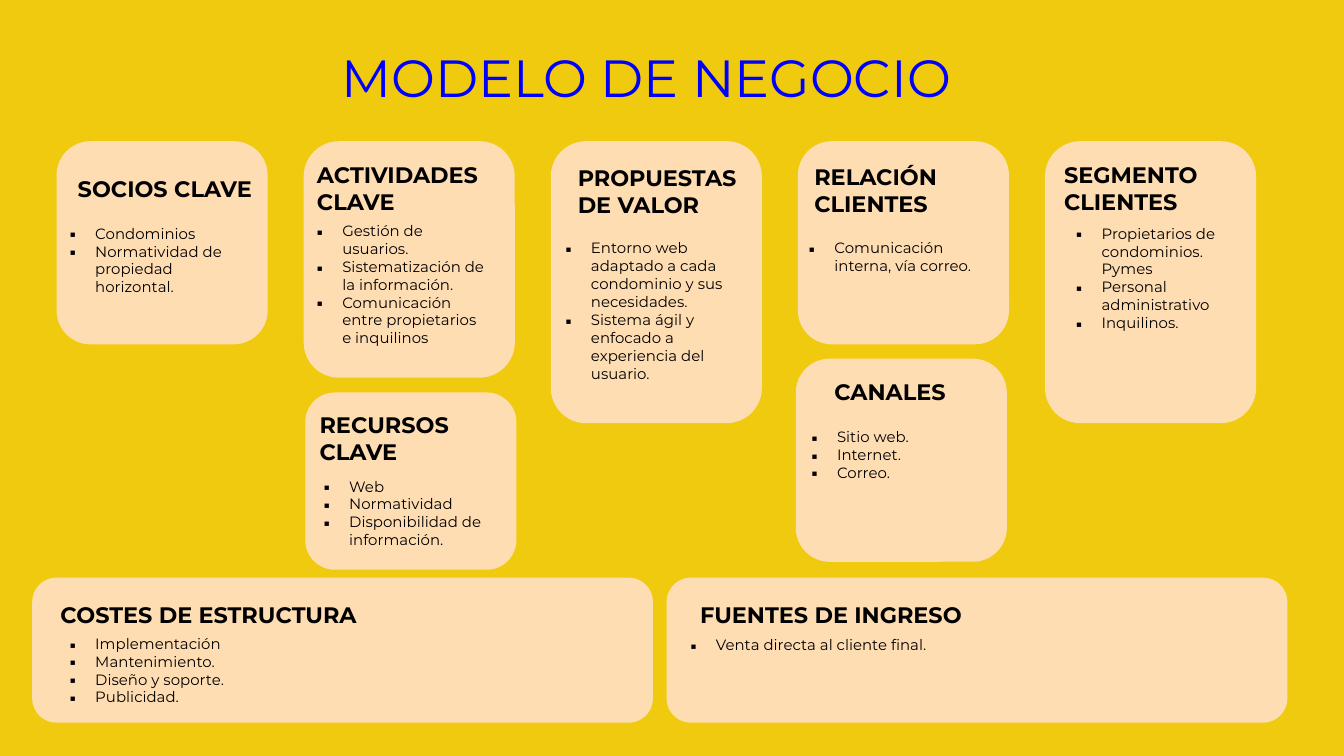
"""Build a one-slide business model canvas in Spanish."""
from collections import namedtuple
from dataclasses import dataclass

from lxml.etree import SubElement
from pptx import Presentation
from pptx.dml.color import RGBColor
from pptx.enum.shapes import MSO_SHAPE
from pptx.enum.text import MSO_ANCHOR, MSO_AUTO_SIZE, PP_ALIGN
from pptx.oxml.ns import qn
from pptx.util import Cm, Pt


@dataclass(frozen=True)
class Theme:
    background: RGBColor = RGBColor.from_string("F0CA0F")
    card: RGBColor = RGBColor.from_string("FFDDB3")
    title: RGBColor = RGBColor.from_string("0000FF")
    ink: RGBColor = RGBColor.from_string("000000")
    font: str = "Montserrat"
    title_size: Pt = Pt(28)
    heading_size: Pt = Pt(12)
    list_size: Pt = Pt(8)


theme = Theme()
Block = namedtuple("Block", "card heading heading_at heading_lines items list_at list_lines")

TITLE_STYLE = {"name": theme.font, "size": theme.title_size, "bold": False}
HEADING_STYLE = {"name": theme.font, "size": theme.heading_size, "bold": True}
LIST_STYLE = {"name": theme.font, "size": theme.list_size, "bold": False}
FRAME_FORMAT = {
    "word_wrap": True,
    "auto_size": MSO_AUTO_SIZE.SHAPE_TO_FIT_TEXT,
    "vertical_anchor": MSO_ANCHOR.TOP,
    "margin_left": Cm(0.25), "margin_right": Cm(0.25),
    "margin_top": Cm(0.13), "margin_bottom": Cm(0.13),
}
TITLE_FRAME = FRAME_FORMAT | {
    "auto_size": MSO_AUTO_SIZE.NONE, "margin_top": Cm(0.25), "margin_bottom": Cm(0.25),
}

COLUMN_LEFT, COLUMN_STEP, COLUMN_TOP, COLUMN_WIDTH = 1.07, 4.67, 2.67, 3.99
columns = [COLUMN_LEFT + COLUMN_STEP * index for index in range(5)]
FOOTER_TOP, FOOTER_WIDTH, FOOTER_HEIGHT = 10.92, 11.73, 2.74

blocks = [
    Block((columns[0], COLUMN_TOP, COLUMN_WIDTH, 3.84),
          "SOCIOS CLAVE", (1.22, 3.18, 3.86), 1,
          ["Condominios", "Normatividad de propiedad horizontal."], (1.07, 4.11, 3.53), 4),
    Block((columns[1], COLUMN_TOP, COLUMN_WIDTH, 4.47),
          "ACTIVIDADES CLAVE", (5.74, 2.92, 3.96), 2,
          ["Gestión de usuarios.", "Sistematización de la información.",
           "Comunicación entre propietarios e inquilinos"], (5.74, 4.06, 3.76), 7),
    Block((columns[2], COLUMN_TOP, COLUMN_WIDTH, 5.33),
          "PROPUESTAS DE VALOR", (10.67, 2.97, 3.89), 2,
          ["Entorno web adaptado a cada condominio y sus necesidades.",
           "Sistema ágil y enfocado a experiencia del usuario."], (10.44, 4.39, 3.99), 8),
    Block((columns[3], COLUMN_TOP, COLUMN_WIDTH, 3.84),
          "RELACIÓN CLIENTES", (15.14, 2.95, 3.94), 2,
          ["Comunicación interna, vía correo."], (15.04, 4.39, 3.99), 2),
    Block((columns[4], COLUMN_TOP, COLUMN_WIDTH, 5.33),
          "SEGMENTO CLIENTES", (19.86, 2.92, 3.99), 2,
          ["Propietarios de condominios. Pymes", "Personal administrativo", "Inquilinos."],
          (20.09, 4.11, 3.53), 6),
    Block((5.77, 7.42, COLUMN_WIDTH, 3.35),
          "RECURSOS CLAVE", (5.79, 7.65, 3.96), 2,
          ["Web", "Normatividad", "Disponibilidad de información."], (5.87, 8.89, 3.63), 4),
    Block((15.04, 6.78, COLUMN_WIDTH, 3.84),
          "CANALES", (15.52, 7.01, 3.94), 1,
          ["Sitio web.", "Internet.", "Correo."], (15.09, 7.95, 3.99), 3),
    Block((0.61, FOOTER_TOP, FOOTER_WIDTH, FOOTER_HEIGHT),
          "COSTES DE ESTRUCTURA", (0.89, 11.23, 7.06), 1,
          ["Implementación", "Mantenimiento.", "Diseño y soporte.", "Publicidad."],
          (1.07, 11.86, 9.96), 4),
    Block((12.6, FOOTER_TOP, FOOTER_WIDTH, FOOTER_HEIGHT),
          "FUENTES DE INGRESO", (12.98, 11.23, 6.88), 1,
          ["Venta directa al cliente final."], (12.8, 11.89, 9.96), 1),
]


def write_text(box, position, lines, style, color, frame_format, align=PP_ALIGN.LEFT):
    """Place a text object and fill it with formatted paragraphs."""
    for name, value in zip(("left", "top", "width", "height"), position):
        setattr(box, name, Cm(value))
    frame = box.text_frame
    for name, value in frame_format.items():
        setattr(frame, name, value)
    for index, line in enumerate(lines):
        para = frame.add_paragraph() if index else frame.paragraphs[0]
        para.alignment = align
        para.line_spacing = 1.0
        para.space_before = para.space_after = Pt(0)
        span = para.add_run()
        span.text = line
        for name, value in style.items():
            setattr(span.font, name, value)
        span.font.color.rgb = color


def add_bullets(box):
    """Give every paragraph a square bullet with a hanging indent."""
    for para in box.text_frame.paragraphs:
        properties = para._p.get_or_add_pPr()
        properties.set("marL", str(Cm(0.48)))
        properties.set("indent", str(-Cm(0.48)))
        bullet_color = SubElement(properties, qn("a:buClr"))
        SubElement(bullet_color, qn("a:srgbClr"), val=str(theme.ink))
        SubElement(properties, qn("a:buFont"), typeface="Noto Sans Symbols")
        SubElement(properties, qn("a:buChar"), char="▪")


deck = Presentation()
deck.slide_width, deck.slide_height = Cm(25.4), Cm(14.29)
slide = deck.slides.add_slide(deck.slide_layouts.get_by_name("Comparison"))
slide.background.fill.solid()
slide.background.fill.fore_color.rgb = theme.background

write_text(slide.shapes.title, (0.38, 0.61, 23.67, 1.6), ["MODELO DE NEGOCIO"],
           TITLE_STYLE, theme.title, TITLE_FRAME, PP_ALIGN.CENTER)

bodies = [holder for holder in slide.placeholders if holder.placeholder_format.idx]
footer_bodies = {
    "COSTES DE ESTRUCTURA": bodies[:2],
    "FUENTES DE INGRESO": bodies[2:],
}

for block in blocks:
    card = slide.shapes.add_shape(MSO_SHAPE.ROUNDED_RECTANGLE, *map(Cm, block.card))
    card.shadow.inherit = False
    card.fill.solid()
    card.fill.fore_color.rgb = theme.card
    card.line.fill.background()

for block in blocks:
    heading_position = (*block.heading_at, 0.25 + 0.51 * block.heading_lines)
    list_position = (*block.list_at, 0.27 + 0.34 * block.list_lines)
    if block.heading in footer_bodies:
        heading_box, list_box = footer_bodies[block.heading]
        for box in (heading_box, list_box):
            box.element.getparent().append(box.element)
    else:
        heading_box = slide.shapes.add_textbox(*map(Cm, heading_position))
        list_box = slide.shapes.add_textbox(*map(Cm, list_position))
    write_text(heading_box, heading_position, [block.heading],
               HEADING_STYLE, theme.ink, FRAME_FORMAT)
    write_text(list_box, list_position, block.items, LIST_STYLE, theme.ink, FRAME_FORMAT)
    add_bullets(list_box)

deck.save("out.pptx")
